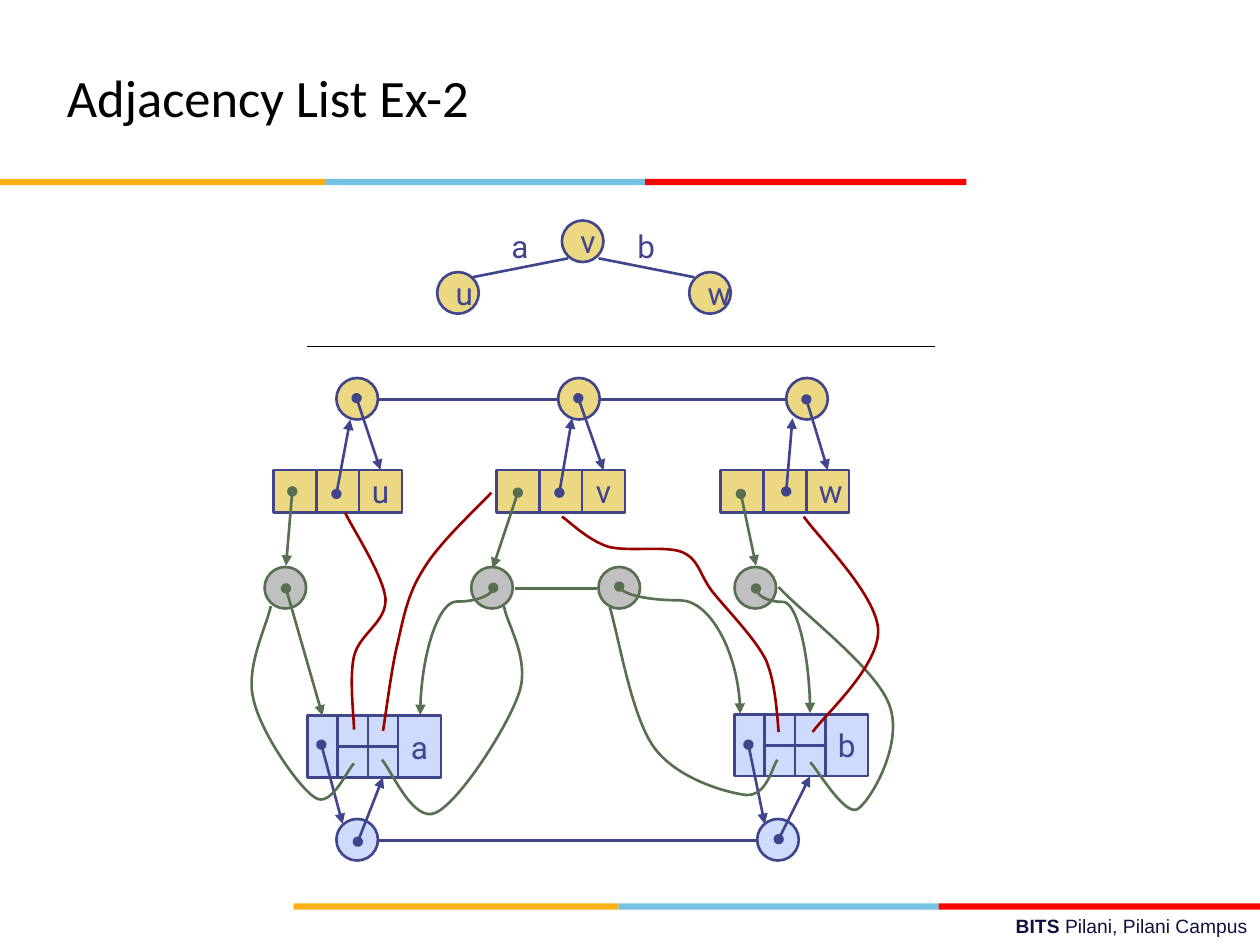
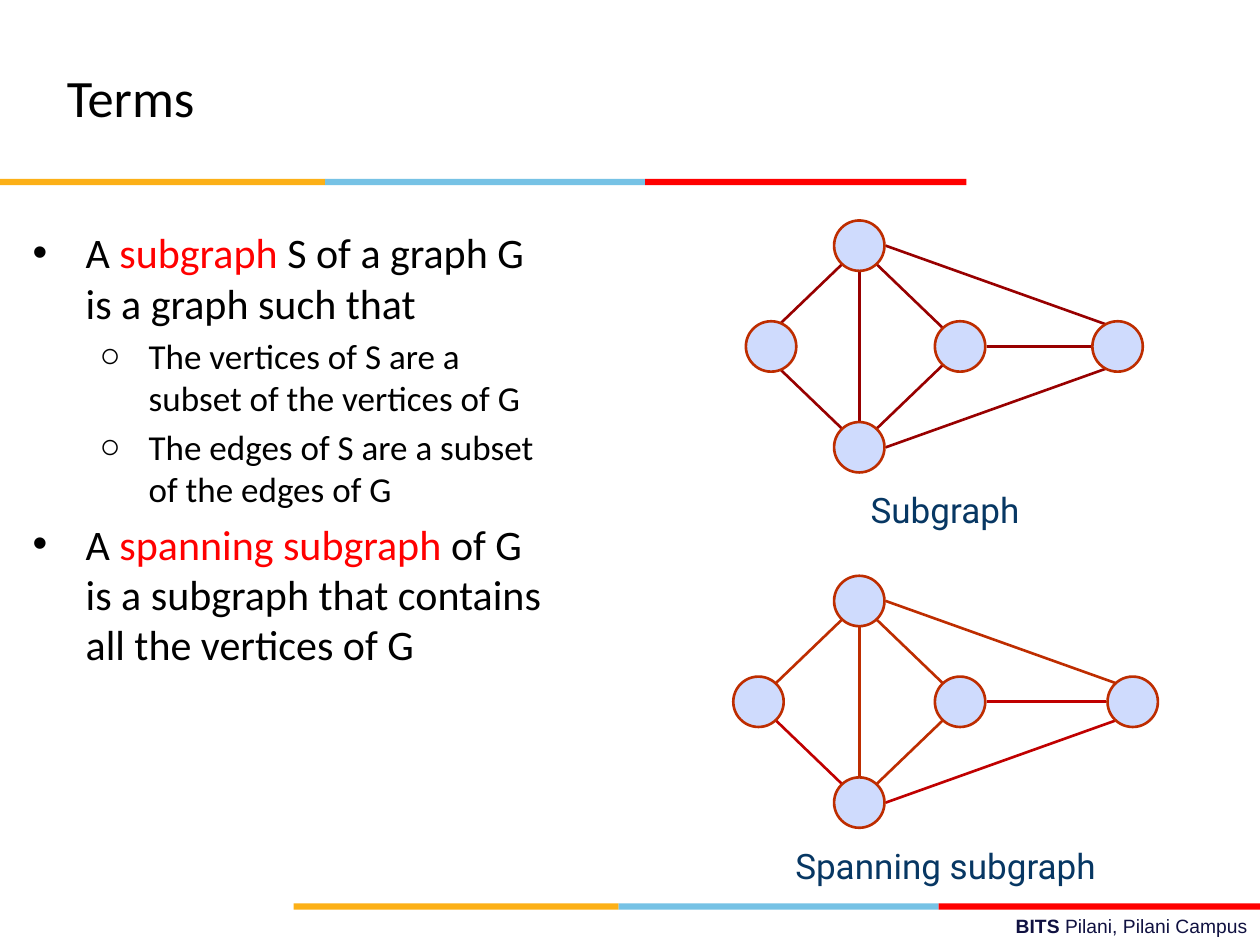
from dataclasses import dataclass
from lxml.etree import SubElement
from pptx import Presentation
from pptx.dml.color import RGBColor
from pptx.enum.shapes import MSO_CONNECTOR as Connector, MSO_SHAPE as Preset
from pptx.enum.text import MSO_ANCHOR as Anchor, MSO_AUTO_SIZE as AutoSize, PP_ALIGN as Align
from pptx.oxml.ns import qn
from pptx.util import Cm, Pt

NAVY, GREEN, MAROON, RUST, CRIMSON = "40458C", "577052", "980000", "BE2D00", "C00000"
YELLOW, BLUE, GRAY = "ECD882", "CFDBFD", "C0C0C0"
BLACK, RED, CAPTION, FOOTER = "000000", "FF0000", "073763", "101141"
BAND_COLORS = ("FCB017", "76C2E5", RED)
BAND_EDGES = (0, 2.58, 5.12, 7.67)
LINE_WIDTH = 1.5
NODE_SIZE, VERTEX_CELL, EDGE_CELL = 0.33, 0.34, 0.24
Point = tuple[float, float]


@dataclass(frozen=True)
class Box:
    left: float
    top: float
    width: float
    height: float


@dataclass(frozen=True)
class VertexRecord:
    letter: str
    left: float
    circle_left: float
    circle_dot: Point
    back_arrow: tuple[Point, Point]
    incidence_arrow: tuple[Point, Point]


@dataclass(frozen=True)
class EdgeRecord:
    letter: str
    left: float
    top: float
    circle_left: float
    circle_dot: Point
    back_arrow: tuple[Point, Point]


@dataclass(frozen=True)
class CurvedArrow:
    box: Box
    rotation: int
    flipped: bool


@dataclass(frozen=True)
class Curve:
    color: str
    points: tuple[Point, ...]


@dataclass(frozen=True)
class GraphFigure:
    caption: str
    caption_box: Box
    top: float
    left_vertex: float
    right_vertex: float
    edge_colors: tuple[str, ...]


VERTEX_RECORDS = (
    VertexRecord("u", 2.17, 2.67, (2.83, 3.16), ((2.67, 3.92), (2.78, 3.33)), ((2.32, 3.9), (2.27, 4.49))),
    VertexRecord("v", 3.94, 4.43, (4.59, 3.16), ((4.44, 3.91), (4.54, 3.32)), ((4.11, 3.91), (3.91, 4.51))),
    VertexRecord("w", 5.72, 6.24, (6.4, 3.17), ((6.24, 3.9), (6.29, 3.32)), ((5.88, 3.92), (6, 4.49))),
)
EDGE_RECORDS = (
    EdgeRecord("a", 2.44, 5.68, 2.67, (2.84, 6.68), ((2.55, 5.91), (2.72, 6.54))),
    EdgeRecord("b", 5.83, 5.67, 6.01, (6.18, 6.66), ((5.94, 5.91), (6.07, 6.54))),
)
CURVED_ARROWS = (
    CurvedArrow(Box(3.12, 4.88, 1.01, 0.58), 90, False),
    CurvedArrow(Box(4.89, 4.68, 1.01, 0.96), 270, True),
    CurvedArrow(Box(5.72, 4.95, 0.99, 0.43), 270, True),
)
CURVES = (
    Curve(GREEN, ((3.03, 6.03), (3.1, 6.1), (3.28, 6.54), (3.46, 6.45), (3.65, 6.36),
                  (4.03, 5.77), (4.12, 5.5), (4.21, 5.23), (4.02, 4.95), (4, 4.81))),
    Curve(GREEN, ((2.81, 6.06), (2.76, 6.1), (2.63, 6.42), (2.5, 6.33), (2.37, 6.25),
                  (2.06, 5.8), (2.01, 5.54), (1.95, 5.29), (2.12, 4.96), (2.15, 4.81))),
    Curve(GREEN, ((6.17, 6.03), (6.13, 6.08), (6.09, 6.32), (5.92, 6.31), (5.76, 6.29),
                  (5.37, 6.18), (5.19, 5.93), (5.01, 5.68), (4.91, 5.05), (4.84, 4.82))),
    Curve(GREEN, ((6.43, 6.05), (6.49, 6.11), (6.71, 6.49), (6.81, 6.42), (6.92, 6.34),
                  (7.17, 5.9), (7.06, 5.6), (6.96, 5.31), (6.36, 4.86), (6.18, 4.66))),
    Curve(MAROON, ((2.81, 5.79), (2.81, 5.69), (2.77, 5.38), (2.81, 5.21), (2.85, 5.03),
                   (3.07, 4.94), (3.06, 4.75), (3.04, 4.56), (2.79, 4.18), (2.74, 4.07))),
    Curve(MAROON, ((3.04, 5.8), (3.06, 5.69), (3.1, 5.35), (3.15, 5.13), (3.2, 4.92),
                   (3.23, 4.72), (3.36, 4.52), (3.48, 4.31), (3.81, 4.01), (3.9, 3.91))),
    Curve(MAROON, ((6.18, 5.81), (6.17, 5.72), (6.16, 5.43), (6.08, 5.24), (5.99, 5.06), (5.76, 4.83),
                   (5.65, 4.69), (5.54, 4.54), (5.55, 4.44), (5.41, 4.38), (5.27, 4.33), (4.99, 4.38),
                   (4.83, 4.34), (4.67, 4.29), (4.52, 4.14), (4.46, 4.1))),
    Curve(MAROON, ((6.45, 5.81), (6.54, 5.68), (6.98, 5.29), (6.97, 5), (6.96, 4.72), (6.48, 4.25), (6.38, 4.1))),
)
GRAPH_EDGES = (
    ((6.68, 0.35), (6.16, 0.85)), ((6.68, 1.65), (6.16, 1.15)),
    ((6.96, 1.65), (7.48, 1.15)), ((6.96, 0.35), (7.48, 0.85)),
    ((6.82, 0.41), (6.82, 1.59)), ((7.83, 1), (8.78, 1)),
    ((7.03, 1.8), (8.85, 1.15)), ((8.85, 0.85), (7.03, 0.2)),
)
GRAPH_FIGURES = (
    GraphFigure("Subgraph", Box(5.94, 3.83, 3.12, 0.43), 1.75, 5.92, 8.67, (MAROON,) * 8),
    GraphFigure("Spanning subgraph", Box(5.51, 6.65, 3.99, 0.43), 4.57, 5.82, 8.79,
                (RUST, CRIMSON, RUST, RUST, RUST, CRIMSON, CRIMSON, RUST)),
)
TERMS = (
    (0, (("A ", BLACK), ("subgraph", RED), (" S of a graph G is a graph such that", BLACK))),
    (1, (("The vertices of S are a subset of the vertices of G", BLACK),)),
    (1, (("The edges of S are a subset of the edges of G", BLACK),)),
    (0, (("A ", BLACK), ("spanning subgraph", RED),
         (" of G is a subgraph that contains all the vertices of G", BLACK))),
)


def inches(value: float) -> Cm:
    return Cm(value * 2.54)


def color(value: str) -> RGBColor:
    return RGBColor.from_string(value)


def bounds(box: Box) -> tuple:
    return tuple(inches(value) for value in (box.left, box.top, box.width, box.height))


def place(shape, box: Box) -> None:
    shape.left, shape.top, shape.width, shape.height = bounds(box)


def format_run(run, size: float, name: str, hex_color: str, bold: bool = False) -> None:
    run.font.size, run.font.name, run.font.bold = Pt(size), name, bold
    run.font.color.rgb = color(hex_color)


def write_centered(shape, text: str, size: float, hex_color: str) -> None:
    shape.text_frame.word_wrap = True
    shape.text_frame.text = text
    paragraph = shape.text_frame.paragraphs[0]
    paragraph.alignment = Align.CENTER
    format_run(paragraph.runs[0], size, "Roboto", hex_color)


def add_label(slide, box: Box, text: str, size: float, hex_color: str) -> None:
    write_centered(slide.shapes.add_textbox(*bounds(box)), text, size, hex_color)


def add_preset(slide, preset: Preset, box: Box, fill: str, line: str = "", letter: str = ""):
    shape = slide.shapes.add_shape(preset, *bounds(box))
    shape.shadow.inherit = False
    shape.fill.solid()
    shape.fill.fore_color.rgb = color(fill)
    if line:
        shape.line.color.rgb, shape.line.width = color(line), Pt(LINE_WIDTH)
    else:
        shape.line.fill.background()
    if letter:
        shape.text_frame.vertical_anchor = Anchor.MIDDLE
        write_centered(shape, letter, 18, NAVY)
    return shape


def add_circle(slide, left: float, top: float, fill: str, line: str,
               letter: str = "", size: float = NODE_SIZE) -> None:
    add_preset(slide, Preset.OVAL, Box(left, top, size, size), fill, line, letter)


def add_link(slide, start: Point, end: Point, hex_color: str, arrow: bool = False,
             kind: Connector = Connector.STRAIGHT, width: float = LINE_WIDTH):
    connector = slide.shapes.add_connector(kind, *(inches(value) for value in (*start, *end)))
    connector.line.color.rgb, connector.line.width = color(hex_color), Pt(width)
    properties = connector._element.spPr
    if arrow:
        outline = properties.find(qn("a:ln"))
        SubElement(outline, qn("a:headEnd"), type="oval")
        SubElement(outline, qn("a:tailEnd"), type="triangle")
    SubElement(properties, qn("a:effectLst"))
    return connector


def add_curved_arrow(slide, arrow: CurvedArrow) -> None:
    box = arrow.box
    left, right = box.left, box.left + box.width
    start, end = (right, left) if arrow.flipped else (left, right)
    connector = add_link(slide, (start, box.top), (end, box.top + box.height), GREEN, True, Connector.CURVE)
    properties = connector._element.spPr
    properties.find(qn("a:xfrm")).set("rot", str(arrow.rotation * 60000))
    adjustments = properties.find(qn("a:prstGeom")).find(qn("a:avLst"))
    SubElement(adjustments, qn("a:gd"), name="adj1", fmla="val 10800")


def add_curve(slide, curve: Curve) -> None:
    start, *controls = [(inches(x), inches(y)) for x, y in curve.points]
    builder = slide.shapes.build_freeform(*start)
    builder.add_line_segments(controls, close=False)
    shape = builder.convert_to_shape()
    shape.shadow.inherit = False
    shape.fill.background()
    shape.line.color.rgb, shape.line.width = color(curve.color), Pt(LINE_WIDTH)
    outline = next(shape._element.iter(qn("a:path")))
    segments = outline.findall(qn("a:lnTo"))
    for first in range(0, len(segments), 3):
        bezier = SubElement(outline, qn("a:cubicBezTo"))
        for segment in segments[first:first + 3]:
            bezier.append(segment[0])
            outline.remove(segment)


def add_bands(slide, left: float, top: float) -> None:
    for fill, start, end in zip(BAND_COLORS, BAND_EDGES, BAND_EDGES[1:]):
        add_preset(slide, Preset.RECTANGLE, Box(left + start, top, end - start, 0.05), fill)


def add_base_slide(presentation, layout: int, title: str):
    slide = presentation.slides.add_slide(presentation.slide_layouts[layout])
    heading = slide.shapes.title
    place(heading, Box(0.43, 0.3, 6.69, 0.93))
    frame = heading.text_frame
    frame.text = title
    frame.auto_size, frame.vertical_anchor = AutoSize.NONE, Anchor.MIDDLE
    frame.paragraphs[0].alignment = Align.LEFT
    format_run(frame.paragraphs[0].runs[0], 30, "Calibri", BLACK)
    add_bands(slide, 0, 1.42)
    add_bands(slide, 2.33, 7.17)
    footer = slide.shapes.add_textbox(*bounds(Box(3.58, 7.21, 6.42, 0.29)))
    footer.text_frame.word_wrap = True
    paragraph = footer.text_frame.paragraphs[0]
    paragraph.alignment = Align.RIGHT
    for text, bold in (("BITS ", True), ("Pilani, Pilani Campus", False)):
        run = paragraph.add_run()
        run.text = text
        format_run(run, 11, "Arial", FOOTER, bold)
    return slide


def add_vertex_record(slide, record: VertexRecord) -> None:
    add_circle(slide, record.circle_left, 3, YELLOW, NAVY)
    cells = [
        add_preset(slide, Preset.RECTANGLE,
                   Box(record.left + index * VERTEX_CELL, 3.73, VERTEX_CELL, VERTEX_CELL), YELLOW, NAVY, letter)
        for index, letter in enumerate(("", "", record.letter))
    ]
    name_arrow = add_link(slide, record.circle_dot, (record.left + 2.5 * VERTEX_CELL, 3.73), NAVY, True)
    name_arrow.end_connect(cells[2], 0)
    add_link(slide, *record.back_arrow, NAVY, True)
    add_link(slide, *record.incidence_arrow, GREEN, True)


def add_edge_record(slide, record: EdgeRecord) -> list:
    add_circle(slide, record.circle_left, 6.5, BLUE, NAVY)
    cells = [
        add_preset(slide, Preset.RECTANGLE,
                   Box(record.left + index * EDGE_CELL, record.top, width, 0.49), BLUE, NAVY, letter)
        for index, (width, letter) in enumerate([(EDGE_CELL, "")] * 3 + [(0.34, record.letter)])
    ]
    middle = record.top + 0.24
    divider = add_link(slide, (record.left + EDGE_CELL, middle), (record.left + 3 * EDGE_CELL, middle), NAVY)
    divider.begin_connect(cells[1], 1)
    divider.end_connect(cells[2], 3)
    up_arrow = add_link(slide, record.circle_dot, (record.left + 2.5 * EDGE_CELL, record.top + 0.49), NAVY, True)
    up_arrow.end_connect(cells[2], 2)
    add_link(slide, *record.back_arrow, NAVY, True)
    return cells


def add_adjacency_slide(presentation) -> None:
    slide = add_base_slide(presentation, 5, "Adjacency List Ex-2")
    for start, end in (((4.75, 2.05), (5.51, 2.2)), ((4.51, 2.05), (3.75, 2.2)),
                       ((6, 6.67), (3.01, 6.67)), ((6.23, 3.17), (3.01, 3.17))):
        add_link(slide, start, end, NAVY)
    for letter, left, top in (("u", 3.47, 2.16), ("v", 4.46, 1.75), ("w", 5.47, 2.16)):
        add_circle(slide, left, top, YELLOW, NAVY, letter)
    for letter, left in (("a", 3.96), ("b", 4.96)):
        add_label(slide, Box(left, 1.75, 0.33, 0.4), letter, 18, NAVY)
    add_link(slide, (2.44, 2.75), (7.42, 2.75), BLACK, width=0.75)
    for left in (2.1, 3.74, 4.75, 5.83):
        add_circle(slide, left, 4.5, GRAY, GREEN)
    add_link(slide, (4.74, 4.67), (4.09, 4.67), GREEN)
    for record in VERTEX_RECORDS:
        add_vertex_record(slide, record)
    first_edge_cells, _ = [add_edge_record(slide, record) for record in EDGE_RECORDS]
    add_link(slide, (2.27, 4.67), (2.56, 5.68), GREEN, True).end_connect(first_edge_cells[0], 0)
    for arrow in CURVED_ARROWS:
        add_curved_arrow(slide, arrow)
    for curve in CURVES:
        add_curve(slide, curve)


def add_terms(slide) -> None:
    body = slide.placeholders[1]
    place(body, Box(0.08, 1.75, 4.4, 4.95))
    frame = body.text_frame
    frame.auto_size = AutoSize.NONE
    for index, (level, pieces) in enumerate(TERMS):
        paragraph = frame.add_paragraph() if index else frame.paragraphs[0]
        paragraph.level = level
        size, bullet, margin, indent, before = ((24, "•", 0.5, -0.42, 4.8), (20, "○", 1, -0.39, 4))[level]
        properties = paragraph._p.get_or_add_pPr()
        properties.set("marL", str(inches(margin)))
        properties.set("indent", str(inches(indent)))
        SubElement(SubElement(properties, qn("a:buClr")), qn("a:srgbClr"), val=BLACK)
        SubElement(properties, qn("a:buFont"), typeface="Arial")
        SubElement(properties, qn("a:buChar"), char=bullet)
        paragraph.space_before = Pt(before if index else 0)
        for text, hex_color in pieces:
            run = paragraph.add_run()
            run.text = text
            format_run(run, size, "Calibri", hex_color)


def add_graph_figure(slide, figure: GraphFigure) -> None:
    for ((x1, y1), (x2, y2)), hex_color in zip(GRAPH_EDGES, figure.edge_colors):
        add_link(slide, (x1, figure.top + y1), (x2, figure.top + y2), hex_color)
    for left, drop in ((6.62, 0), (figure.left_vertex, 0.8), (7.42, 0.8), (figure.right_vertex, 0.8), (6.62, 1.6)):
        add_circle(slide, left, figure.top + drop, BLUE, RUST, size=0.4)
    add_label(slide, figure.caption_box, figure.caption, 20, CAPTION)


def add_terms_slide(presentation) -> None:
    slide = add_base_slide(presentation, 1, "Terms")
    add_terms(slide)
    for figure in GRAPH_FIGURES:
        add_graph_figure(slide, figure)


def main() -> None:
    presentation = Presentation()
    presentation.slide_width, presentation.slide_height = Cm(25.4), Cm(19.05)
    add_adjacency_slide(presentation)
    add_terms_slide(presentation)
    presentation.save("out.pptx")


if __name__ == "__main__":
    main()
